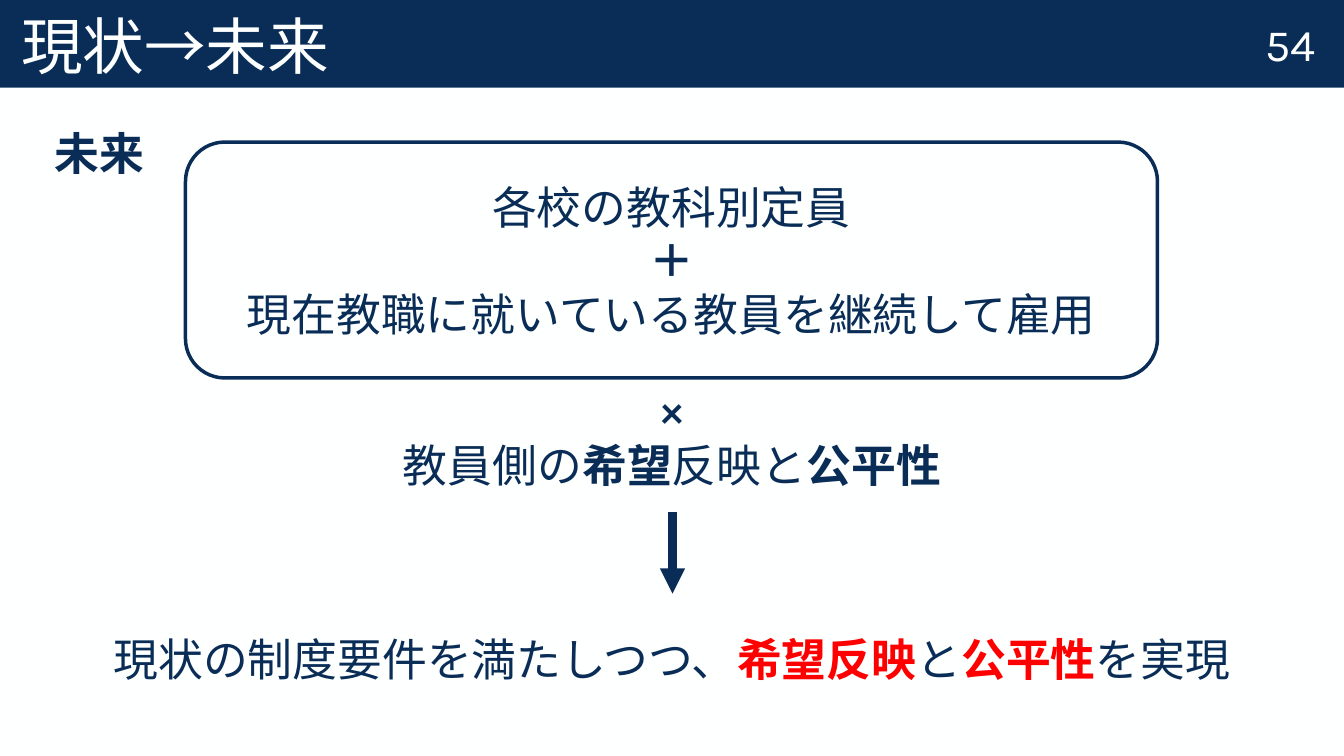
"""Build the slide on moving from the current state to the future."""
import dataclasses

import pptx
import pptx.dml.color
import pptx.enum.shapes
import pptx.enum.text
import pptx.oxml
import pptx.oxml.ns
import pptx.util

Inches = pptx.util.Inches
Align = pptx.enum.text.PP_ALIGN
Anchor = pptx.enum.text.MSO_ANCHOR


@dataclasses.dataclass(frozen=True)
class Theme:
    navy = pptx.dml.color.RGBColor.from_string("092D57")
    white = pptx.dml.color.RGBColor.from_string("FEFFFF")
    red = pptx.dml.color.RGBColor.from_string("FF0000")
    font = "Karla"
    symbol_font = "Calibri"
    title = pptx.util.Pt(44)
    body = pptx.util.Pt(32)
    border = pptx.util.Pt(2.5)
    arrow = pptx.util.Pt(6)


theme = Theme()


def write(box, lines, size=theme.body, align=Align.CENTER, anchor=Anchor.MIDDLE, font=theme.font):
    """Fill a box with lines, each a list of (text, colour, bold) spans."""
    frame = box.text_frame
    frame.word_wrap = True
    frame.auto_size = pptx.enum.text.MSO_AUTO_SIZE.NONE
    frame.vertical_anchor = anchor
    for index, line in enumerate(lines):
        para = frame.paragraphs[0] if index == 0 else frame.add_paragraph()
        para.alignment = align
        for text, color, bold in line:
            span = para.add_run()
            span.text = text
            span.font.name = font
            span.font.size = size
            span.font.bold = bold
            span.font.color.rgb = color


deck = pptx.Presentation()
deck.slide_width, deck.slide_height = Inches(13.33), Inches(7.5)
page = deck.slides.add_slide(deck.slide_layouts[5])
page.background.fill.solid()
page.background.fill.fore_color.rgb = theme.white

title = page.shapes.title
title.left, title.top, title.width, title.height = 0, 0, deck.slide_width, Inches(0.87)
title.fill.solid()
title.fill.fore_color.rgb = theme.navy
write(title, [[("現状→未来", theme.white, False)]], theme.title, Align.LEFT, Anchor.BOTTOM)
heading = title.text_frame.paragraphs[0]
heading.line_spacing = 0.9
heading._p.get_or_add_pPr().set("indent", str(Inches(0.11)))

conditions = page.shapes.add_shape(
    pptx.enum.shapes.MSO_SHAPE.ROUNDED_RECTANGLE,
    Inches(1.84), Inches(1.41), Inches(9.64), Inches(2.34))
conditions.shadow.inherit = False
conditions.fill.background()
conditions.line.color.rgb = theme.navy
conditions.line.width = theme.border
write(conditions, [
    [("各校の教科別定員", theme.navy, False)],
    [("＋", theme.navy, True)],
    [("現在教職に就いている教員を継続して雇用", theme.navy, False)],
])

labels = [
    ((12.28, 0, 1.04, 0.86), theme.font, [[("54", theme.white, False)]]),
    ((0.25, 1.19, 1.48, 0.64), theme.font, [[("未来", theme.navy, True)]]),
    ((0, 3.75, 13.33, 1.18), theme.symbol_font, [
        [("×", theme.navy, True)],
        [("教員側の", theme.navy, False), ("希望", theme.navy, True),
         ("反映と", theme.navy, False), ("公平性", theme.navy, True)],
    ]),
    ((0, 6.21, 13.33, 0.64), theme.font, [
        [("現状の制度要件を満たしつつ、", theme.navy, False), ("希望反映", theme.red, True),
         ("と", theme.navy, False), ("公平性", theme.red, True), ("を実現", theme.navy, False)],
    ]),
]
for place, font, lines in labels:
    write(page.shapes.add_textbox(*map(Inches, place)), lines, font=font)

arrow = page.shapes.add_connector(
    pptx.enum.shapes.MSO_CONNECTOR.STRAIGHT,
    Inches(6.67), Inches(5.08), Inches(6.67), Inches(5.89))
arrow.line.color.rgb = theme.navy
arrow.line.width = theme.arrow
namespace = pptx.oxml.ns.nsdecls("a")
arrow.line._ln.append(pptx.oxml.parse_xml(f'<a:tailEnd {namespace} type="triangle"/>'))
arrow._element.spPr.append(pptx.oxml.parse_xml(f"<a:effectLst {namespace}/>"))

deck.save("out.pptx")
